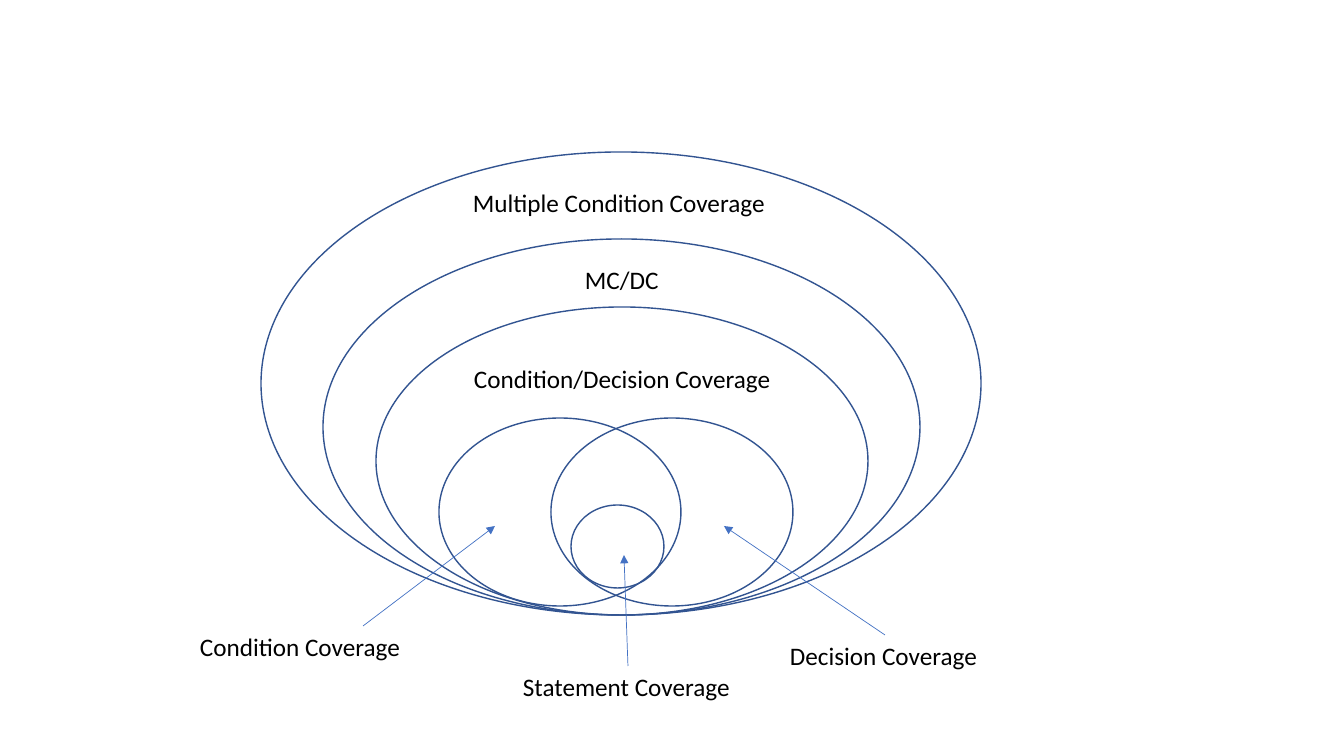
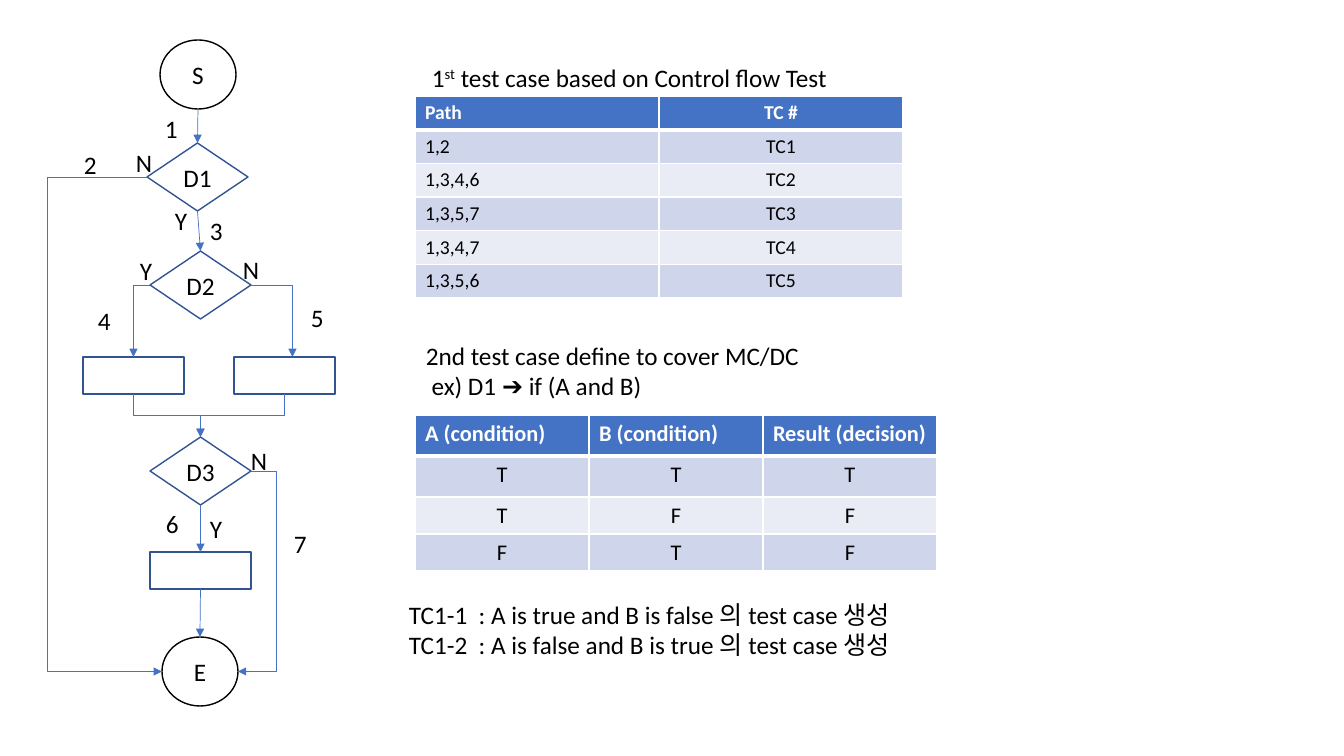
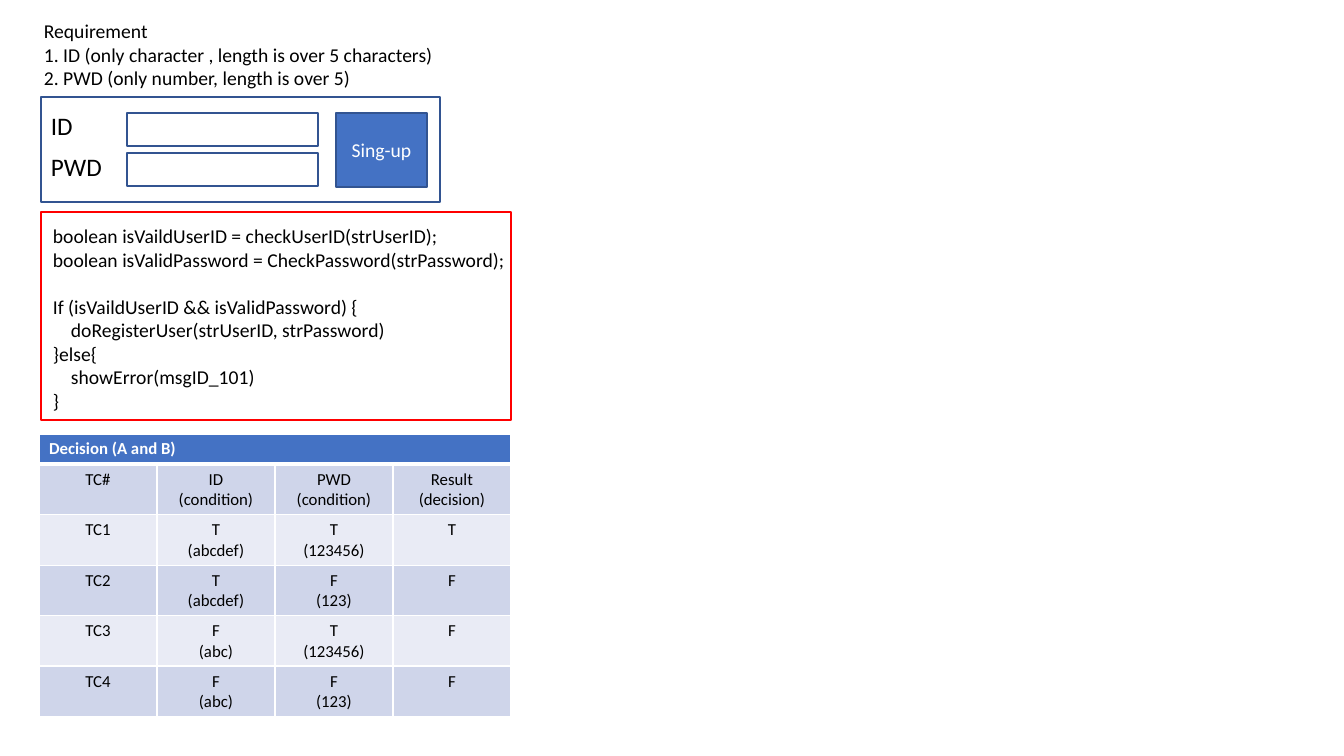
from lxml.etree import SubElement
from pptx import Presentation
from pptx.dml.color import RGBColor
from pptx.enum.shapes import MSO_CONNECTOR, MSO_SHAPE
from pptx.enum.text import MSO_ANCHOR, MSO_AUTO_SIZE, PP_ALIGN
from pptx.oxml.ns import qn
from pptx.util import Emu, Pt

SCALE = 914400 / 100.8
FONT = "Calibri"
COLORS = {
    "text": "000000",
    "white": "FFFFFF",
    "outline": "325491",
    "accent": "4472C4",
    "alert": "FF0000",
    "band_dark": "CFD5EA",
    "band_light": "E9EBF5",
}
SIDES = ["top", "left", "bottom", "right"]


def px(n):
    return Emu(round(n * SCALE))


def rgb(name):
    return RGBColor.from_string(COLORS[name])


class Deck:
    def __init__(self):
        self.prs = Presentation()
        self.prs.slide_width, self.prs.slide_height = px(1344), px(756)
        self.s = None

    def slide(self):
        self.s = self.prs.slides.add_slide(self.prs.slide_layouts[6])

    def set_text(self, tf, lines, size=18, color="text", bold=False, align=PP_ALIGN.LEFT):
        tf.text = "\n".join(line if isinstance(line, str) else "" for line in lines)
        for p, line in zip(tf.paragraphs, lines):
            p.alignment = align
            if not isinstance(line, str):
                for i, part in enumerate(line):
                    r = p.add_run()
                    r.text = part
                    if i % 2:
                        r.font._element.set("baseline", "30000")
            for r in p.runs:
                r.font.name, r.font.size, r.font.bold = FONT, Pt(size), bold
                r.font.color.rgb = rgb(color)

    def label(self, x, y, w, *lines, size=18, h=40):
        sp = self.s.shapes.add_textbox(px(x), px(y), px(w), px(h))
        tf = sp.text_frame
        tf.word_wrap = False
        tf.auto_size = MSO_AUTO_SIZE.SHAPE_TO_FIT_TEXT
        self.set_text(tf, lines, size)
        return tf

    def shape(self, kind, x, y, w, h, text=None, line="outline", fill=None, color="text", size=18):
        sp = self.s.shapes.add_shape(kind, px(x), px(y), px(w), px(h))
        sp.shadow.inherit = False
        sp.line.color.rgb, sp.line.width = rgb(line), Pt(1)
        if fill:
            sp.fill.solid()
            sp.fill.fore_color.rgb = rgb(fill)
        else:
            sp.fill.background()
        if text:
            sp.text_frame.vertical_anchor = MSO_ANCHOR.MIDDLE
            self.set_text(sp.text_frame, [text], size, color, align=PP_ALIGN.CENTER)
        return sp

    def arrow(self, start, end, kind=MSO_CONNECTOR.STRAIGHT):
        c = self.s.shapes.add_connector(kind, *(Emu(round(v)) for v in (*start, *end)))
        c.line.color.rgb, c.line.width = rgb("accent"), Pt(0.5)
        sp_pr = c._element.spPr
        SubElement(sp_pr.find(qn("a:ln")), qn("a:tailEnd"), type="triangle")
        SubElement(sp_pr, qn("a:effectLst"))
        return c

    def site(self, sp, side):
        return {
            "top": (sp.left + sp.width / 2, sp.top),
            "left": (sp.left, sp.top + sp.height / 2),
            "bottom": (sp.left + sp.width / 2, sp.top + sp.height),
            "right": (sp.left + sp.width, sp.top + sp.height / 2),
        }[side]

    def link(self, a, a_side, b, b_side, bent=False, via=None, shift=0):
        x1, y1 = self.site(a, a_side)
        x2, y2 = self.site(b, b_side)
        x2 += px(shift)
        vertical = a_side in ("top", "bottom")
        corner = vertical != (b_side in ("top", "bottom"))
        start, end, rotation = (x1, y1), (x2, y2), None
        if bent and vertical:
            cx, cy = (x1 + x2) / 2, (y1 + y2) / 2
            half_w, half_h = (y2 - y1) / 2, abs(x2 - x1) / 2
            if x2 > x1:
                half_w, rotation = -half_w, "16200000"
            else:
                rotation = "5400000"
            start, end = (cx - half_w, cy - half_h), (cx + half_w, cy + half_h)
        c = self.arrow(start, end, MSO_CONNECTOR.ELBOW if bent else MSO_CONNECTOR.STRAIGHT)
        sp_pr = c._element.spPr
        if rotation:
            sp_pr.find(qn("a:xfrm")).set("rot", rotation)
        geom = sp_pr.find(qn("a:prstGeom"))
        if corner:
            geom.set("prst", "bentConnector2")
        if via is not None:
            ratio = round((px(via) - x1) / (x2 - x1) * 100000)
            SubElement(geom.find(qn("a:avLst")), qn("a:gd"), name="adj1", fmla=f"val {ratio}")
        ends = [("a:stCxn", a, a_side)]
        if not shift:
            ends.append(("a:endCxn", b, b_side))
        for tag, sp, side in ends:
            step = 2 if sp.auto_shape_type == MSO_SHAPE.OVAL else 1
            SubElement(c._element.nvCxnSpPr.cNvCxnSpPr, qn(tag),
                       id=str(sp.shape_id), idx=str(SIDES.index(side) * step))

    def borders(self, cell, top, bottom):
        tc_pr = cell._tc.get_or_add_tcPr()
        for i, (edge, width) in enumerate([("L", 1), ("R", 1), ("T", top), ("B", bottom)]):
            ln = SubElement(tc_pr, qn(f"a:ln{edge}"), w=str(Pt(width)))
            fill = SubElement(ln, qn("a:solidFill"))
            SubElement(fill, qn("a:srgbClr"), val=COLORS["white"])
            tc_pr.insert(i, ln)

    def table(self, x, y, cols, rows, cells, size, head_aligns, body_aligns):
        frame = self.s.shapes.add_table(len(rows), len(cols), px(x), px(y), px(sum(cols)), px(sum(rows)))
        t = frame.table
        for col, w in zip(t.columns, cols):
            col.width = px(w)
        for row, h in zip(t.rows, rows):
            row.height = px(h)
        for i, values in enumerate(cells):
            head = i == 0
            band = "accent" if head else "band_dark" if i % 2 else "band_light"
            for j in range(len(cols)):
                cell = t.cell(i, j)
                cell.fill.solid()
                cell.fill.fore_color.rgb = rgb(band)
                self.borders(cell, 3 if i == 1 else 1, 3 if head else 1)
                if j < len(values):
                    self.set_text(cell.text_frame, values[j].split("\n"), size,
                                  "white" if head else "text", head,
                                  (head_aligns if head else body_aligns)[j])
        return t


L, C = PP_ALIGN.LEFT, PP_ALIGN.CENTER
deck = Deck()

deck.slide()
for box in [(571, 505, 93, 83), (439, 418, 242, 188), (551, 418, 242, 188),
            (376, 307, 492, 308), (323, 239, 597, 376), (261, 152, 720, 463)]:
    deck.shape(MSO_SHAPE.OVAL, *box)
for x, y, w, text in [
    (463, 182, 317, "Multiple Condition Coverage"),
    (575, 259, 95, "MC/DC"),
    (464, 358, 321, "Condition/Decision Coverage"),
    (190, 626, 223, "Condition Coverage"),
    (780, 635, 210, "Decision Coverage"),
    (513, 666, 230, "Statement Coverage"),
]:
    deck.label(x, y, w, text)
for x1, y1, x2, y2 in [(628, 666, 624, 555), (363, 626, 495, 526), (885, 635, 724, 526)]:
    deck.arrow((px(x1), px(y1)), (px(x2), px(y2)))

deck.slide()
start = deck.shape(MSO_SHAPE.OVAL, 160, 40, 76, 69, "S", line="text")
d1, d2, d3 = [deck.shape(MSO_SHAPE.FLOWCHART_DECISION, x, y, 101, 68, text)
              for x, y, text in [(147, 143, "D1"), (150, 251, "D2"), (150, 437, "D3")]]
step4, step5, step6 = [deck.shape(MSO_SHAPE.RECTANGLE, x, y, 101, 37)
                       for x, y in [(83, 357), (234, 357), (150, 552)]]
end = deck.shape(MSO_SHAPE.OVAL, 162, 637, 76, 69, "E", line="text")
for a, b in [(start, d1), (d1, d2), (d3, step6), (step6, end)]:
    deck.link(a, "bottom", b, "top")
deck.link(d1, "left", end, "left", bent=True, via=47)
deck.link(d2, "left", step4, "top", bent=True)
deck.link(d2, "right", step5, "top", bent=True, shift=8)
for step in (step4, step5):
    deck.link(step, "bottom", d3, "top", bent=True)
deck.link(d3, "right", end, "right", bent=True, via=276)
for x, y, text in [
    (155, 108, "1"), (74, 144, "2"), (200, 210, "3"), (88, 300, "4"),
    (301, 297, "5"), (156, 503, "6"), (284, 523, "7"),
    (165, 200, "Y"), (130, 250, "Y"), (200, 508, "Y"),
    (126, 142, "N"), (233, 249, "N"), (241, 440, "N"),
]:
    deck.label(x, y, 36 if text == "N" else 33, text)
deck.label(422, 57, 421, ("1", "st", " test case based on Control flow Test"))
deck.table(415, 96, [244] * 2, [33] * 6, [
    ("Path", "TC #"), ("1,2", "TC1"), ("1,3,4,6", "TC2"),
    ("1,3,5,7", "TC3"), ("1,3,4,7", "TC4"), ("1,3,5,6", "TC5"),
], 14, [L, C], [L, C])
deck.label(416, 335, 398, "2nd test case define to cover MC/DC", " ex) D1 \u2794 if (A and B)", h=72)
deck.table(415, 415, [174] * 3, [41, 41, 37, 37], [
    ("A (condition)", "B (condition)", "Result (decision)"),
    ("T", "T", "T"), ("T", "F", "F"), ("F", "T", "F"),
], 16, [L] * 3, [C] * 3)
deck.label(399, 594, 521, "TC1-1  : A is true and B is false 의 test case 생성",
           "TC1-2  : A is false and B is true 의 test case 생성", h=72)

deck.slide()
deck.label(34, 14, 417, "Requirement", "1. ID (only character , length is over 5 characters)",
           "2. PWD (only number, length is over 5)", size=14, h=105)
for y, field_y, w, text in [(105, 113, 42, "ID"), (146, 153, 72, "PWD")]:
    deck.label(41, y, w, text)
    deck.shape(MSO_SHAPE.RECTANGLE, 127, field_y, 191, 33)
deck.shape(MSO_SHAPE.RECTANGLE, 336, 113, 91, 74, "Sing-up", fill="accent", color="white", size=14)
deck.shape(MSO_SHAPE.RECTANGLE, 41, 97, 399, 105)
code = deck.label(
    43, 219, 477,
    "boolean isVaildUserID = checkUserID(strUserID);",
    "boolean isValidPassword = CheckPassword(strPassword);",
    "If (isVaildUserID && isValidPassword) {",
    "doRegisterUser(strUserID, strPassword)",
    "}else{",
    "showError(msgID_101)",
    "}", size=14, h=224)
code.paragraphs[2].space_before = Pt(17)
for i in (3, 5):
    code.paragraphs[i]._p.get_or_add_pPr().set("marL", str(px(18)))
deck.shape(MSO_SHAPE.RECTANGLE, 41, 212, 470, 208, line="alert")
decision = deck.table(39, 434, [118] * 4, [28] + [50] * 5, [
    ("Decision (A and B)",),
    ("TC#", "ID\n(condition)", "PWD\n(condition)", "Result (decision)"),
    ("TC1", "T\n(abcdef)", "T\n(123456)", "T"),
    ("TC2", "T\n(abcdef)", "F\n(123)", "F"),
    ("TC3", "F\n(abc)", "T\n(123456)", "F"),
    ("TC4", "F\n(abc)", "F\n(123)", "F"),
], 12, [L], [C] * 4)
decision.cell(0, 0).merge(decision.cell(0, 3))

deck.prs.save("out.pptx")
